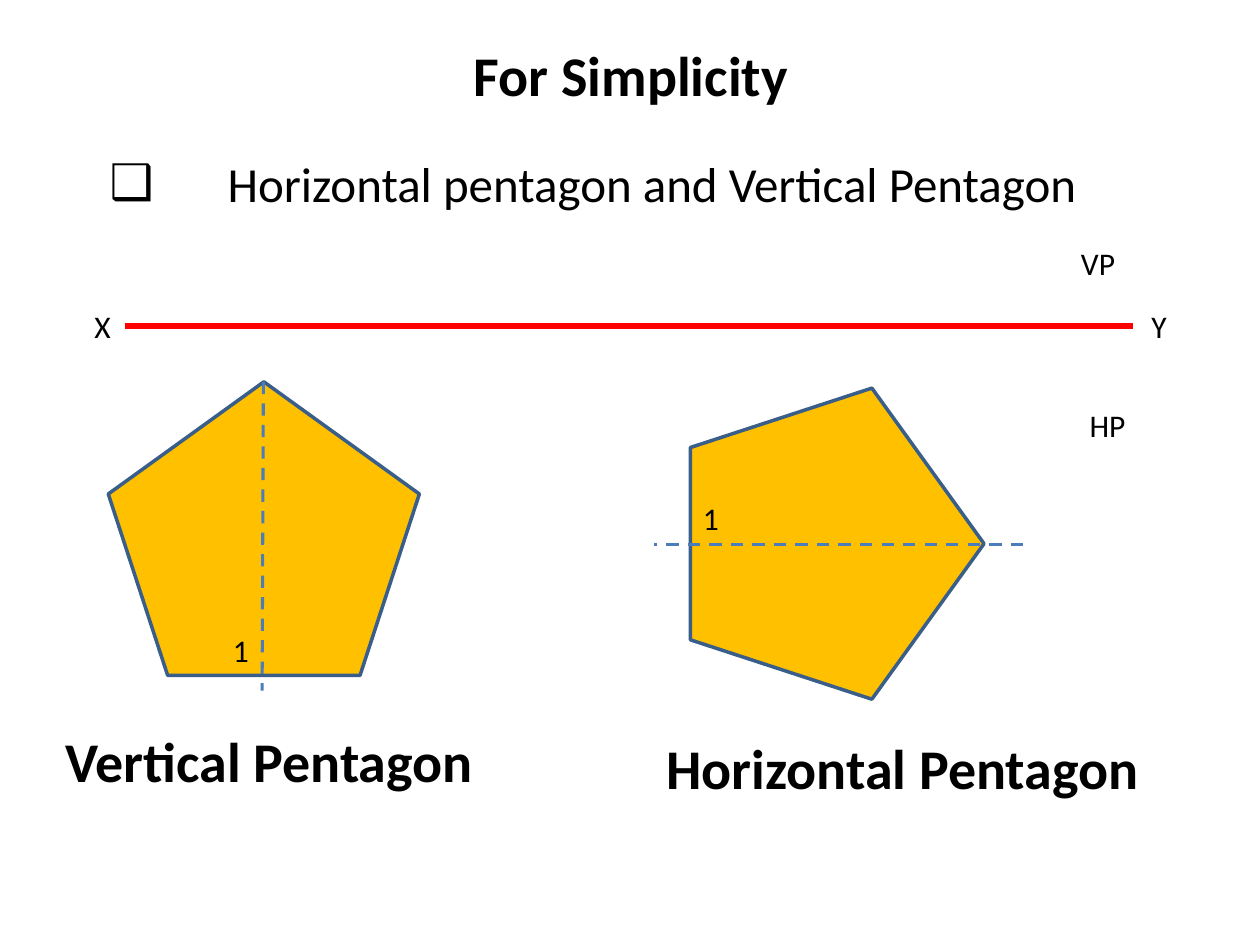
from lxml import etree
from pptx import Presentation
from pptx.dml.color import RGBColor
from pptx.enum.dml import MSO_LINE_DASH_STYLE as DASH
from pptx.enum.shapes import MSO_CONNECTOR as CONN, MSO_SHAPE as SHAPE
from pptx.enum.text import MSO_ANCHOR as ANCHOR, MSO_AUTO_SIZE as AUTO, PP_ALIGN as ALIGN
from pptx.oxml.ns import qn
from pptx.util import Pt

BLACK = RGBColor(0, 0, 0)
RED = RGBColor(0xFF, 0, 0)
GOLD = RGBColor(0xFF, 0xC0, 0)
NAVY = RGBColor(0x39, 0x5E, 0x89)
BLUE = RGBColor(0x4A, 0x7D, 0xBA)


def write(shape, text, size, bold=False):
    frame = shape.text_frame
    frame.text = text
    frame.word_wrap = True
    frame.auto_size = AUTO.NONE
    frame.vertical_anchor = ANCHOR.TOP
    para = frame.paragraphs[0]
    para.alignment = ALIGN.LEFT
    para.space_before = Pt(0)
    font = para.runs[0].font
    font.name, font.size, font.bold = "Calibri", Pt(size), bold
    font.color.rgb = BLACK


def draw(group, ends, color, width):
    line = group.shapes.add_connector(CONN.STRAIGHT, *map(Pt, ends))
    line.line.color.rgb = color
    line.line.width = Pt(width)
    etree.SubElement(line._element.spPr, qn("a:effectLst"))
    return line


prs = Presentation()
prs.slide_width, prs.slide_height = Pt(720), Pt(540)
slide = prs.slides.add_slide(prs.slide_layouts[1])
title, body = slide.placeholders

# Title and bullet line
for holder, box in ((title, (263.5, 19.4, 219, 46)), (body, (55.4, 84.2, 573, 41))):
    holder.left, holder.top, holder.width, holder.height = map(Pt, box)
write(title, "For Simplicity", 32, True)
write(body, "Horizontal pentagon and Vertical Pentagon", 28)
props = body.text_frame.paragraphs[0]._p.get_or_add_pPr()
props.set("marL", str(Pt(67.5)))
props.set("indent", str(-Pt(67.5)))
etree.SubElement(props, qn("a:buChar")).set("char", "❑")

# Reference line XY, with its end letters
axis = slide.shapes.add_group_shape()
draw(axis, (71.3, 186.5, 647.3, 186.5), RED, 3.5)

# Pentagons, each with its dashed axis
upright = slide.shapes.add_group_shape()
turned = slide.shapes.add_group_shape()
for group, left, top, angle, ends in (
    (upright, 61.9, 218.2, 0, (150.5, 218.2, 149.8, 394.6)),
    (turned, 389.5, 226.8, 90, (584.6, 311, 373.7, 311)),
):
    shape = group.shapes.add_shape(
        SHAPE.REGULAR_PENTAGON, Pt(left), Pt(top), Pt(177.8), Pt(167.8))
    shape.rotation = angle
    shape.shadow.inherit = False
    shape.fill.solid()
    shape.fill.fore_color.rgb = GOLD
    shape.line.color.rgb = NAVY
    shape.line.width = Pt(2)
    draw(group, ends, BLUE, 1.75).line.dash_style = DASH.DASH

# Small labels
for group, text, left, top, width in (
    (slide, "VP", 610.6, 136.1, 36),
    (slide, "HP", 615.6, 228.2, 36),
    (axis, "X", 46.8, 172.1, 24),
    (axis, "Y", 650.9, 172.1, 24),
    (upright, "1", 126, 357.1, 24),
    (turned, "1", 394.6, 281.5, 24),
):
    box = group.shapes.add_textbox(Pt(left), Pt(top), Pt(width), Pt(29))
    write(box, text, 18)

# Captions
for text, left, top in (
    ("Vertical Pentagon", 30.2, 411.8),
    ("Horizontal Pentagon", 373.7, 415.4),
):
    box = slide.shapes.add_textbox(Pt(left), Pt(top), Pt(286.5), Pt(46))
    write(box, text, 32, True)

prs.save("out.pptx")
